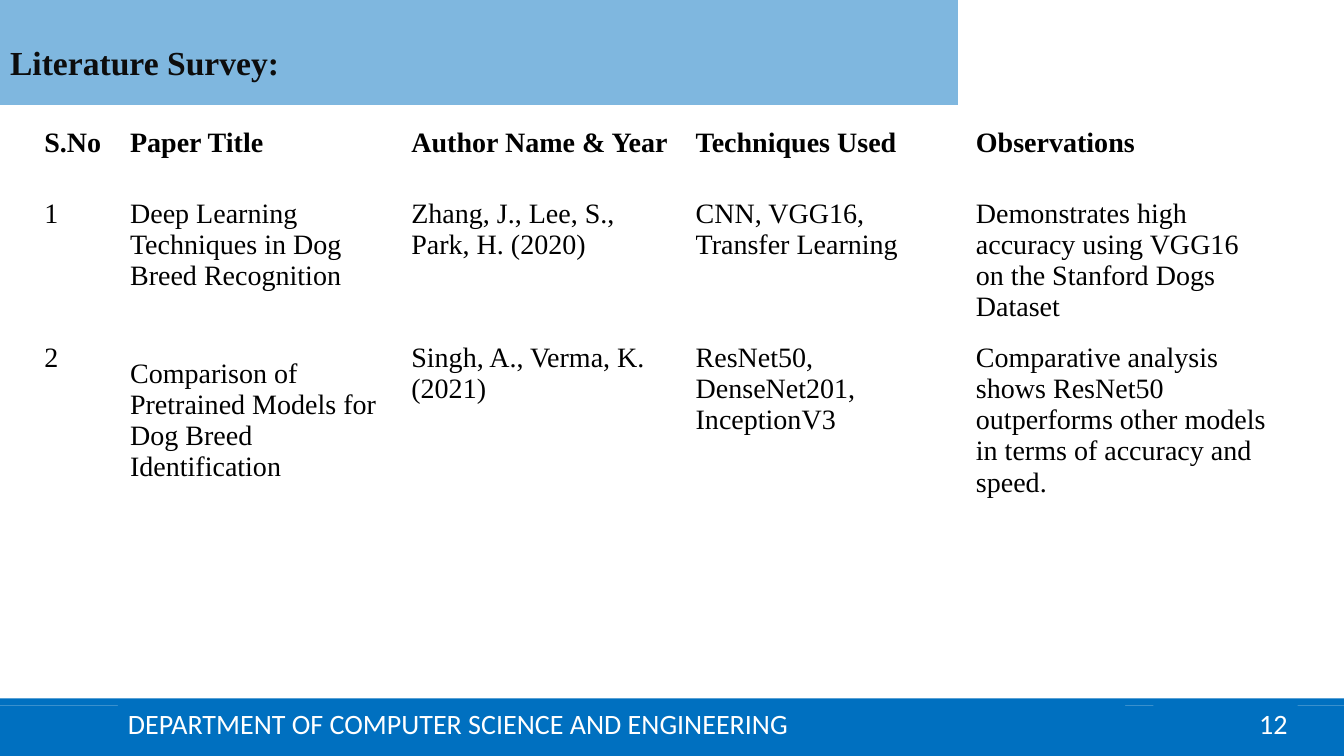
from lxml import etree
from pptx import Presentation
from pptx.dml.color import RGBColor
from pptx.enum import shapes, text
from pptx.oxml.ns import qn
from pptx.util import Inches, Pt

BLUE, WHITE, INK, BLACK = "0070C0", "FFFFFF", "0D0D0D", "000000"
SERIF, SANS = "Times New Roman", "Calibri"

TITLE = "Literature Survey:"
FOOTER = "DEPARTMENT OF COMPUTER SCIENCE AND ENGINEERING"
PAGE = "12"
SURVEY = [
    ("S.No", "Paper Title", "Author Name & Year", "Techniques Used", "Observations"),
    ("1", "Deep Learning Techniques in Dog Breed Recognition",
     "Zhang, J., Lee, S., Park, H. (2020)", "CNN, VGG16, Transfer Learning",
     "Demonstrates high accuracy using VGG16 on the Stanford Dogs Dataset"),
    ("2", "Comparison of Pretrained Models for Dog Breed Identification",
     "Singh, A., Verma, K. (2021)", "ResNet50, DenseNet201, InceptionV3",
     "Comparative analysis shows ResNet50 outperforms other models "
     "in terms of accuracy and speed."),
]
COL_WIDTHS = [0.85, 2.79, 2.82, 2.78, 3.12]
ROW_HEIGHTS = [0.71, 1.43, 0.57]
MIDDLE_CELL = (2, 1)


def rgb(value):
    return RGBColor.from_string(value)


def write(tf, words, size=20, font=SERIF, color=BLACK, bold=False,
          align=text.PP_ALIGN.LEFT, spacing=None):
    p = tf.paragraphs[0]
    p.alignment = align
    if spacing:
        p.line_spacing = spacing
    r = p.add_run()
    r.text = words
    r.font.size, r.font.name, r.font.bold = Pt(size), font, bold
    r.font.color.rgb = rgb(color)


def add_bar(s, left, top, width, height, words=None, **style):
    sp = s.shapes.add_shape(shapes.MSO_SHAPE.RECTANGLE,
                            *map(Inches, (left, top, width, height)))
    sp.shadow.inherit = False
    sp.fill.solid()
    sp.fill.fore_color.rgb = rgb(BLUE)
    sp.line.fill.background()
    if words:
        sp.text_frame.word_wrap = True
        sp.text_frame.vertical_anchor = text.MSO_ANCHOR.MIDDLE
        write(sp.text_frame, words, font=SANS, color=WHITE, **style)


def format_title(sp):
    sp.left, sp.top, sp.width, sp.height = map(Inches, (0, 0, 9.5, 1.04))
    sp.fill.solid()
    sp.fill.fore_color.rgb = rgb(BLUE)
    color = sp.fill._xPr.find(qn("a:solidFill"))[0]
    etree.SubElement(color, qn("a:alpha")).set("val", "50000")
    tf = sp.text_frame
    tf.word_wrap = True
    tf.auto_size = text.MSO_AUTO_SIZE.NONE
    tf.vertical_anchor = text.MSO_ANCHOR.MIDDLE
    write(tf, TITLE, size=24, color=INK, bold=True, spacing=1.5)


def add_survey(s):
    frame = s.shapes.add_table(len(SURVEY), len(COL_WIDTHS), Inches(0.34), Inches(1.21),
                               Inches(sum(COL_WIDTHS)), Inches(sum(ROW_HEIGHTS)))
    table = frame.table
    table.first_row = table.horz_banding = False
    for column, width in zip(table.columns, COL_WIDTHS):
        column.width = Inches(width)
    for i, (row, height) in enumerate(zip(SURVEY, ROW_HEIGHTS)):
        table.rows[i].height = Inches(height)
        for j, words in enumerate(row):
            cell = table.cell(i, j)
            cell.fill.background()
            if (i, j) == MIDDLE_CELL:
                cell.vertical_anchor = text.MSO_ANCHOR.MIDDLE
            write(cell.text_frame, words, bold=i == 0)


def main():
    prs = Presentation()
    prs.slide_width, prs.slide_height = Inches(13.33), Inches(7.5)
    s = prs.slides.add_slide(prs.slide_layouts[5])
    add_bar(s, 0, 7, 13.33, 0.5)
    add_bar(s, 0, 6.93, 13.33, 0.07)
    add_bar(s, 11.44, 6.98, 1.43, 0.4, PAGE, align=text.PP_ALIGN.RIGHT)
    add_bar(s, 1.17, 6.98, 9.99, 0.39, FOOTER)
    format_title(s.shapes.title)
    add_survey(s)
    prs.save("out.pptx")


if __name__ == "__main__":
    main()
